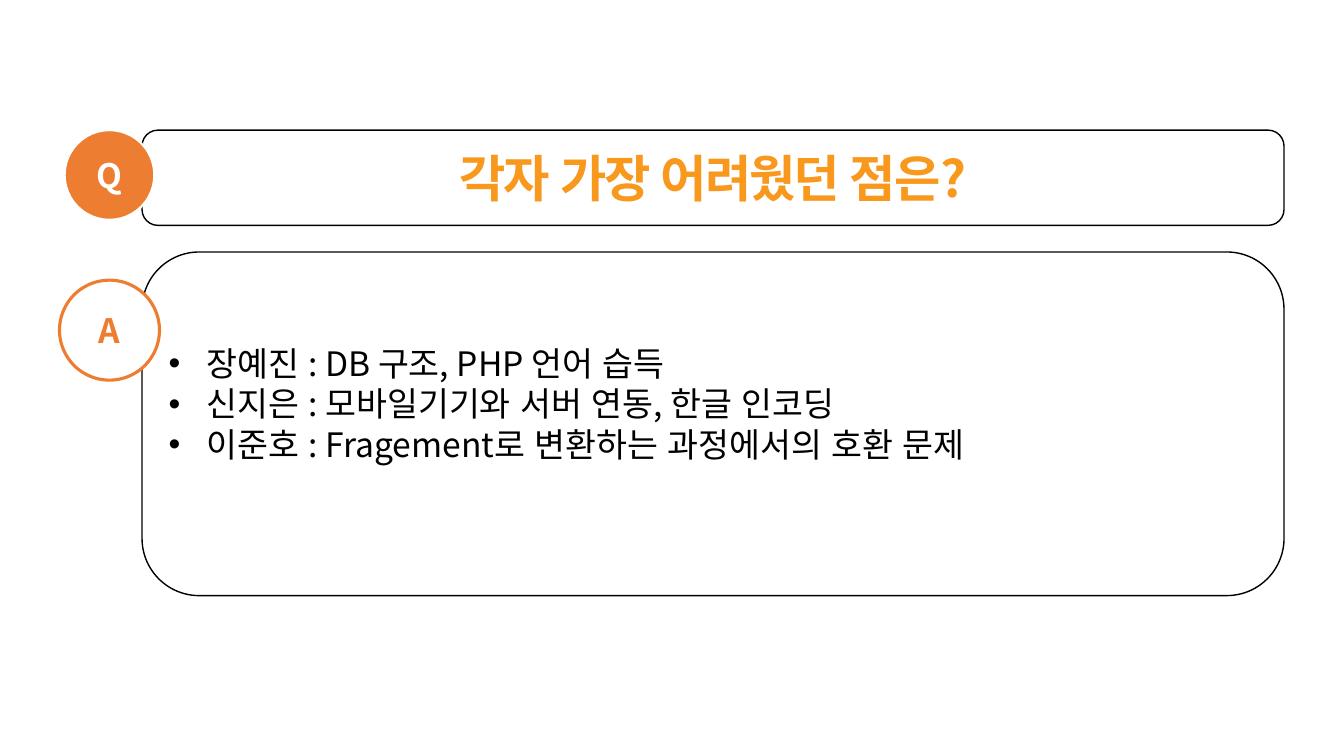
from lxml.etree import SubElement
from pptx import Presentation
from pptx.dml.color import RGBColor
from pptx.enum.lang import MSO_LANGUAGE_ID
from pptx.enum.shapes import MSO_SHAPE
from pptx.enum.text import MSO_ANCHOR, PP_ALIGN
from pptx.oxml.ns import qn
from pptx.util import Cm, Pt

FONT = "Noto Sans CJK KR"
COLORS = {
    "white": "FFFFFF",
    "black": "000000",
    "orange": "ED7D31",
    "question": "F8981D",
}
BOX_LEFT, BOX_WIDTH = 3.58, 28.78
BULLET_INDENT = Cm(0.95)


def color(name):
    return RGBColor.from_string(COLORS[name])


def add_panel(kind, place, fill, line, line_width, lines, text_color, font_format):
    """Add a filled, outlined shape with one centred paragraph per line."""
    panel = slide.shapes.add_shape(kind, *(Cm(length) for length in place))
    panel.shadow.inherit = False
    panel.fill.solid()
    panel.fill.fore_color.rgb = color(fill)
    panel.line.color.rgb = color(line)
    panel.line.width = Pt(line_width)
    frame = panel.text_frame
    frame.word_wrap = True
    frame.vertical_anchor = MSO_ANCHOR.MIDDLE
    shared_format = {"name": FONT, "language_id": MSO_LANGUAGE_ID.KOREAN}
    for number, line_text in enumerate(lines):
        paragraph = frame.add_paragraph() if number else frame.paragraphs[0]
        paragraph.alignment = PP_ALIGN.CENTER
        run = paragraph.add_run()
        run.text = line_text
        run.font.color.rgb = color(text_color)
        for attribute, value in (shared_format | font_format).items():
            setattr(run.font, attribute, value)
        SubElement(run.font._element, qn("a:ea"), typeface=FONT)
    return frame


presentation = Presentation()
presentation.slide_width = Cm(33.87)
presentation.slide_height = Cm(19.05)
slide = presentation.slides.add_slide(presentation.slide_layouts[6])

badge_format = {"size": Pt(24), "bold": True}

# Answer
answers = add_panel(
    MSO_SHAPE.ROUNDED_RECTANGLE, (BOX_LEFT, 6.35, BOX_WIDTH, 8.66),
    "white", "black", 1,
    [
        "장예진 : DB 구조, PHP 언어 습득",
        "신지은 : 모바일기기와 서버 연동, 한글 인코딩",
        "이준호 : Fragement로 변환하는 과정에서의 호환 문제",
    ],
    "black", {"size": Pt(24)},
)
answers.margin_bottom = Cm(1.15)
for answer in answers.paragraphs:
    answer.alignment = PP_ALIGN.LEFT
    properties = answer._p.get_or_add_pPr()
    properties.set("marL", str(BULLET_INDENT))
    properties.set("indent", str(-BULLET_INDENT))
    SubElement(properties, qn("a:buFont"), typeface="Arial")
    SubElement(properties, qn("a:buChar"), char="•")

add_panel(MSO_SHAPE.OVAL, (1.5, 7.06, 2.52, 2.52),
          "white", "orange", 2.25, ["A"], "orange", badge_format)

# Question
question = add_panel(
    MSO_SHAPE.ROUNDED_RECTANGLE, (BOX_LEFT, 3.28, BOX_WIDTH, 2.4),
    "white", "black", 1, ["각자 가장 어려웠던 점은?"],
    "question", {"size": Pt(36), "bold": True},
)
question.paragraphs[0].runs[0].font._element.set("spc", "-150")

add_panel(MSO_SHAPE.OVAL, (1.63, 3.28, 2.26, 2.26),
          "orange", "white", 1.5, ["Q"], "white", badge_format)

presentation.save("out.pptx")
